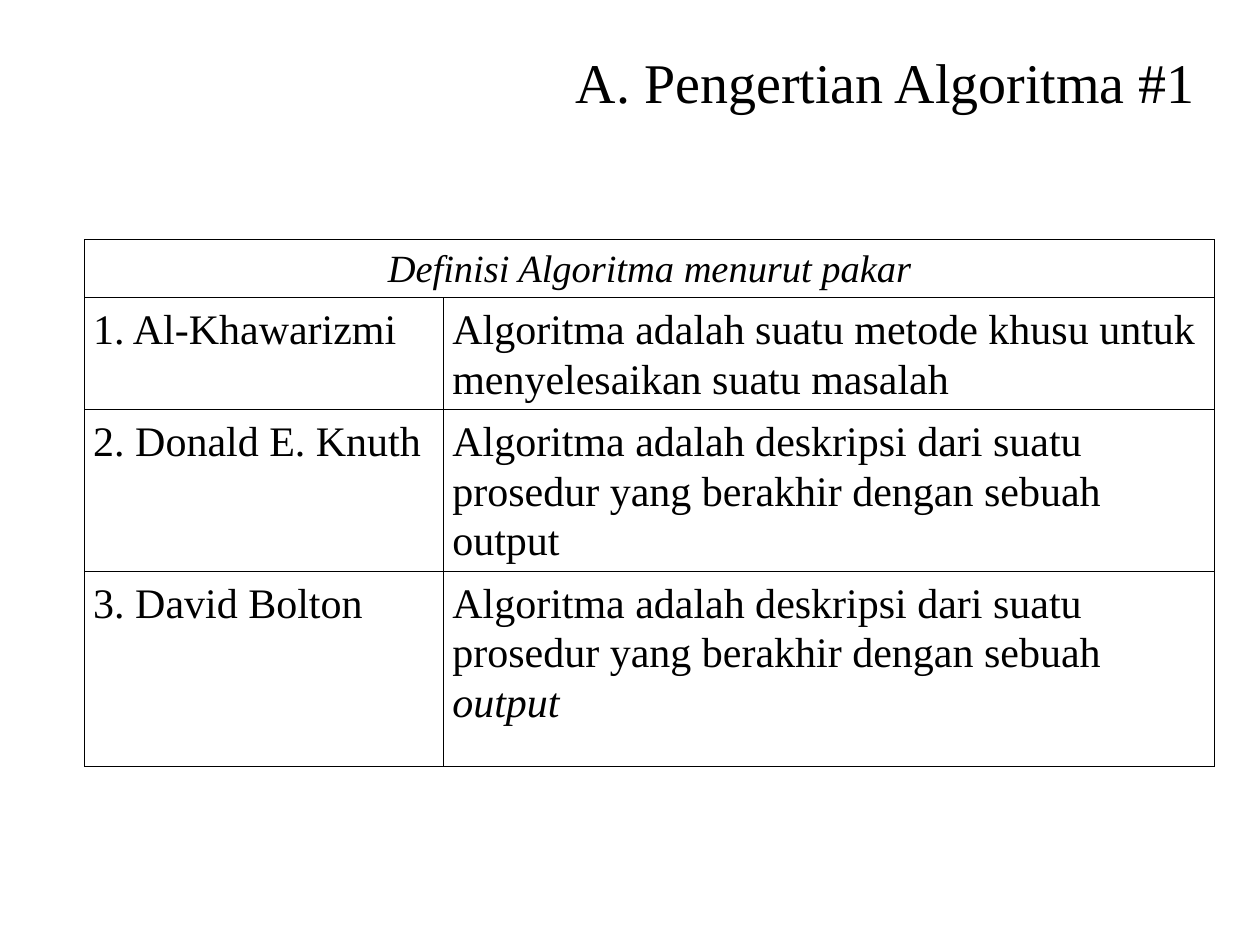
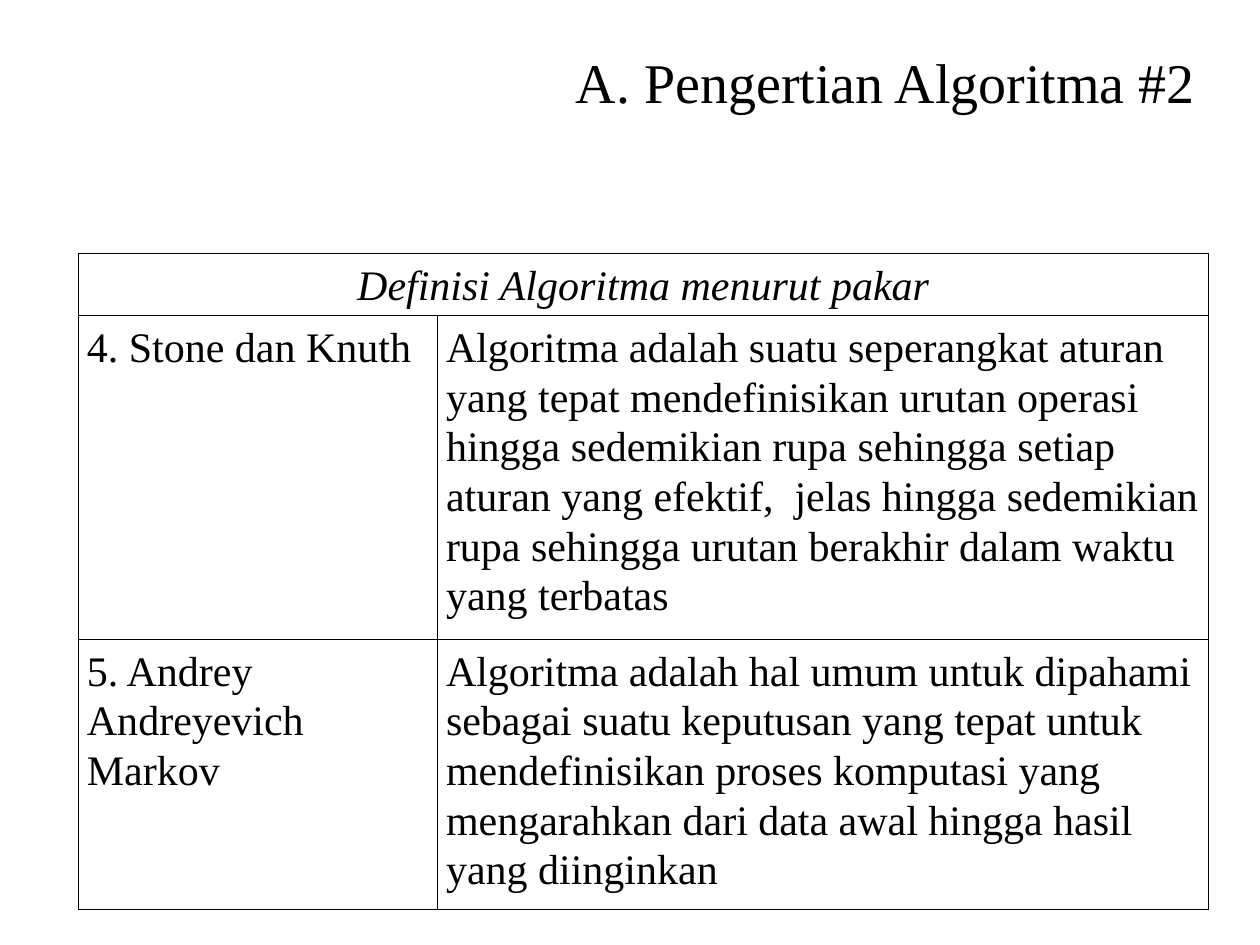
from dataclasses import dataclass

from lxml import etree
from pptx import Presentation
from pptx import util as u
from pptx.dml import color
from pptx.enum import text
from pptx.oxml import ns


@dataclass(frozen=True)
class Theme:
    font: str = "Times New Roman"
    ink: str = "000000"
    paper: str = "FFFFFF"
    title_size: int = 32
    body_size: int = 24
    border_pt: float = 0.45


class Deck:
    TITLE_LAYOUT = 5
    COLUMNS = (2.85, 6.12)

    def __init__(self, theme):
        self.theme = theme
        self.prs = Presentation()
        self.prs.slide_width = u.Inches(10)
        self.prs.slide_height = u.Inches(7.5)
        self.s = None

    def format_run(self, r, size, italic=False):
        r.font.name = self.theme.font
        r.font.size = u.Pt(size)
        r.font.italic = italic
        r.font.color.rgb = color.RGBColor.from_string(self.theme.ink)

    def slide(self, title):
        layout = self.prs.slide_layouts[self.TITLE_LAYOUT]
        self.s = self.prs.slides.add_slide(layout)
        fill = self.s.background.fill
        fill.solid()
        fill.fore_color.rgb = color.RGBColor.from_string(self.theme.paper)
        sp = self.s.shapes.title
        sp.left, sp.top = u.Inches(3.62), u.Inches(0.44)
        sp.width, sp.height = u.Inches(5.97), u.Inches(0.52)
        tf = sp.text_frame
        tf.text = title
        tf.auto_size = text.MSO_AUTO_SIZE.NONE
        tf.vertical_anchor = text.MSO_ANCHOR.TOP
        p = tf.paragraphs[0]
        p.alignment = text.PP_ALIGN.RIGHT
        p.line_spacing = u.Pt(30)
        self.format_run(p.runs[0], self.theme.title_size)

    def borders(self, cell):
        tc_pr = cell._tc.get_or_add_tcPr()
        width = str(u.Pt(self.theme.border_pt))
        for i, side in enumerate(("lnL", "lnR", "lnT", "lnB")):
            ln = etree.Element(ns.qn(f"a:{side}"), w=width)
            fill = etree.SubElement(ln, ns.qn("a:solidFill"))
            etree.SubElement(fill, ns.qn("a:srgbClr"), val=self.theme.ink)
            tc_pr.insert(i, ln)

    def cell(self, cell, parts, size, align=text.PP_ALIGN.LEFT):
        """Fill a cell with (wording, italic) parts."""
        cell.margin_left = cell.margin_right = u.Inches(0.07)
        cell.margin_top = cell.margin_bottom = u.Inches(0.05)
        p = cell.text_frame.paragraphs[0]
        p.alignment = align
        p.line_spacing = 1.07
        for wording, italic in parts:
            r = p.add_run()
            r.text = wording
            self.format_run(r, size, italic)

    def definitions(self, left, top, heights, experts, head_size):
        frame = self.s.shapes.add_table(
            len(heights), len(self.COLUMNS), u.Inches(left), u.Inches(top),
            u.Inches(sum(self.COLUMNS)), u.Inches(sum(heights)))
        table = frame.table
        table.first_row = table.horz_banding = False
        for column, width in zip(table.columns, self.COLUMNS):
            column.width = u.Inches(width)
        for row, height in zip(table.rows, heights):
            row.height = u.Inches(height)
        for cell in table.iter_cells():
            cell.fill.background()
            self.borders(cell)

        # Heading across both columns
        head = table.cell(0, 0)
        head.merge(table.cell(0, 1))
        self.cell(head, [("Definisi Algoritma menurut pakar", True)],
                  head_size, text.PP_ALIGN.CENTER)

        # One row for each expert
        size = self.theme.body_size
        for i, (name, *definition) in enumerate(experts, start=1):
            self.cell(table.cell(i, 0), [(name, False)], size)
            self.cell(table.cell(i, 1), definition, size)


def main():
    deck = Deck(Theme())
    procedure = "Algoritma adalah deskripsi dari suatu prosedur yang berakhir dengan sebuah "

    # Experts 1 to 3
    deck.slide("A. Pengertian Algoritma #1")
    deck.definitions(0.67, 1.9, (0.39, 0.86, 1.28, 1.55), [
        ("1. Al-Khawarizmi",
         ("Algoritma adalah suatu metode khusu untuk menyelesaikan suatu masalah", False)),
        ("2. Donald E. Knuth", (procedure + "output", False)),
        ("3. David Bolton", (procedure, False), ("output", True)),
    ], head_size=22)

    # Experts 4 and 5
    deck.slide("A. Pengertian Algoritma #2")
    deck.definitions(0.62, 2.01, (0.43, 2.57, 2.14), [
        ("4. Stone dan Knuth",
         ("Algoritma adalah suatu seperangkat aturan yang tepat mendefinisikan "
          "urutan operasi hingga sedemikian rupa sehingga setiap aturan yang "
          "efektif,  jelas hingga sedemikian rupa sehingga urutan berakhir "
          "dalam waktu yang terbatas", False)),
        ("5. Andrey Andreyevich Markov",
         ("Algoritma adalah hal umum untuk dipahami sebagai suatu keputusan "
          "yang tepat untuk mendefinisikan proses komputasi yang mengarahkan "
          "dari data awal hingga hasil yang diinginkan", False)),
    ], head_size=deck.theme.body_size)

    deck.prs.save("out.pptx")


if __name__ == "__main__":
    main()
